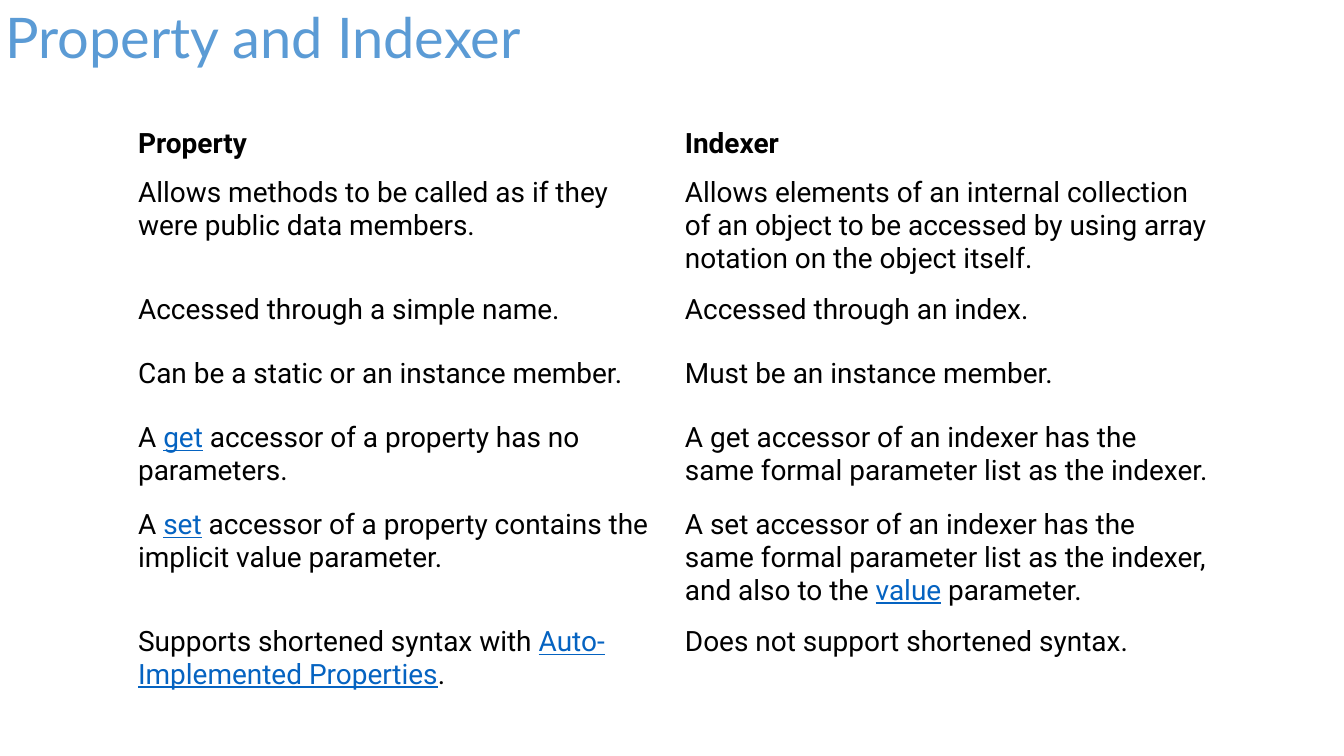
from dataclasses import dataclass

from pptx import Presentation
from pptx.dml.color import RGBColor
from pptx.enum import text
from pptx.util import Cm, Pt


@dataclass(frozen=True)
class Theme:
    title_font: str = "Lato"
    body_font: str = "Roboto"
    title_size: int = 80
    body_size: int = 40
    title: str = "5B9BD5"
    body: str = "000000"
    link: str = "0563C1"
    background: str = "FFFFFF"


theme = Theme()


def write(frame, content, font, size, color, bold=False):
    """Fill the frame's first paragraph; parts between | marks look like links."""
    frame.word_wrap = True
    para = frame.paragraphs[0]
    para.alignment = text.PP_ALIGN.LEFT
    for index, part in enumerate(content.split("|")):
        is_link = index % 2 == 1
        span = para.add_run()
        span.text = part
        span.font.name = font
        span.font.size = Pt(size)
        span.font.bold = bold
        span.font.underline = is_link
        span.font.color.rgb = RGBColor.from_string(theme.link if is_link else color)


deck = Presentation()
deck.slide_width, deck.slide_height = Cm(67.74), Cm(38.1)
page = deck.slides.add_slide(deck.slide_layouts[5])

title = page.shapes.title
title.left, title.top, title.width, title.height = Cm(0), Cm(0), Cm(67.74), Cm(3.68)
title.text_frame.vertical_anchor = text.MSO_ANCHOR.TOP
title.text_frame.auto_size = text.MSO_AUTO_SIZE.SHAPE_TO_FIT_TEXT
write(title.text_frame, "Property and Indexer",
      font=theme.title_font, size=theme.title_size, color=theme.title)

# Row height in centimetres, property text, indexer text
comparison = [
    (2.52, "Property", "Indexer"),
    (5.89, "Allows methods to be called as if they were public data members.",
     "Allows elements of an internal collection of an object to be accessed "
     "by using array notation on the object itself."),
    (3.23, "Accessed through a simple name.", "Accessed through an index."),
    (3.23, "Can be a static or an instance member.", "Must be an instance member."),
    (4.37, "A |get| accessor of a property has no parameters.",
     "A get accessor of an indexer has the same formal parameter list as the indexer."),
    (5.89, "A |set| accessor of a property contains the implicit value parameter.",
     "A set accessor of an indexer has the same formal parameter list as the indexer, "
     "and also to the |value| parameter."),
    (4.37, "Supports shortened syntax with |Auto-Implemented Properties|.",
     "Does not support shortened syntax."),
]

table_height = sum(height for height, *_ in comparison)
table = page.shapes.add_table(len(comparison), 2, Cm(6.43), Cm(5.97),
                              Cm(55.12), Cm(table_height)).table
table.horz_banding = False
for column in table.columns:
    column.width = Cm(27.56)

for row_index, (height, *contents) in enumerate(comparison):
    is_header = row_index == 0
    table.rows[row_index].height = Cm(height)
    for column_index, content in enumerate(contents):
        cell = table.cell(row_index, column_index)
        cell.fill.solid()
        cell.fill.fore_color.rgb = RGBColor.from_string(theme.background)
        cell.margin_left = cell.margin_right = Cm(0.53)
        cell.margin_top = cell.margin_bottom = Cm(0.41)
        cell.vertical_anchor = text.MSO_ANCHOR.BOTTOM if is_header else text.MSO_ANCHOR.TOP
        write(cell.text_frame, content, font=theme.body_font, size=theme.body_size,
              color=theme.body, bold=is_header)

deck.save("out.pptx")
